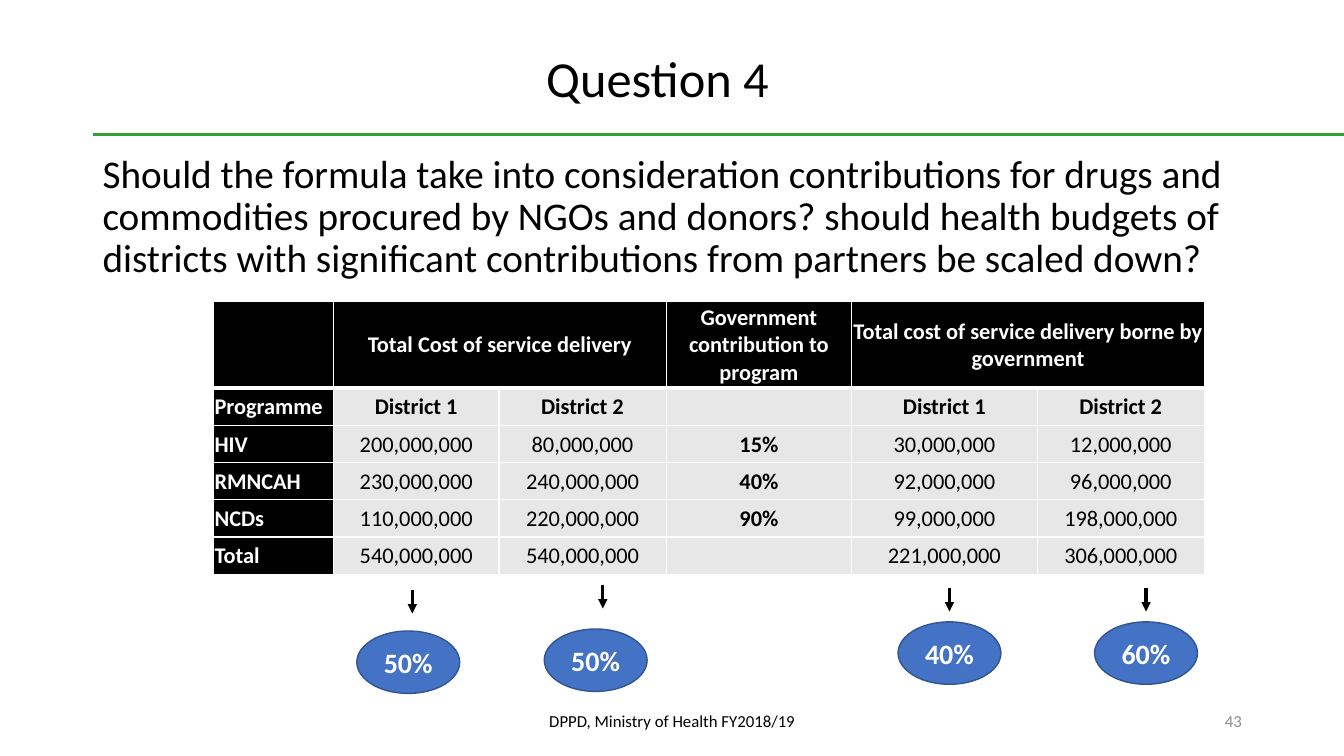
from lxml.etree import SubElement
from pptx import Presentation
from pptx.dml.color import RGBColor
from pptx.enum.shapes import MSO_CONNECTOR, MSO_SHAPE
from pptx.enum.text import MSO_ANCHOR, PP_ALIGN
from pptx.oxml import parse_xml
from pptx.oxml.ns import nsdecls, qn
from pptx.util import Pt

BLACK = RGBColor(0x00, 0x00, 0x00)
WHITE = RGBColor(0xFF, 0xFF, 0xFF)
PALE = RGBColor(0xE7, 0xE7, 0xE7)
GRAY = RGBColor(0x8C, 0x8C, 0x8C)
GREEN = RGBColor(0x33, 0x9E, 0x35)
BLUE = RGBColor(0x44, 0x72, 0xC4)
NAVY = RGBColor(0x32, 0x54, 0x91)

COLS = (85.7, 118.1, 119.5, 132.5, 132.5, 119.5)
ROWS = (61.9,) + (26.6,) * 5
DATA = (
    ("", "Total Cost of service delivery", "", "Government contribution to program",
     "Total cost of service delivery borne by government", ""),
    ("Programme", "District 1", "District 2", "", "District 1", "District 2"),
    ("HIV", "200,000,000", "80,000,000", "15%", "30,000,000", "12,000,000"),
    ("RMNCAH", "230,000,000", "240,000,000", "40%", "92,000,000", "96,000,000"),
    ("NCDs", "110,000,000", "220,000,000", "90%", "99,000,000", "198,000,000"),
    ("Total", "540,000,000", "540,000,000", "", "221,000,000", "306,000,000"),
)
# Share, oval centre and top, arrow centre and top
SHARES = (
    ("50%", 291.6, 450.7, 294.5, 421.2),
    ("50%", 425.5, 449.3, 430.6, 417.6),
    ("40%", 678.2, 444.2, 678.2, 419.8),
    ("60%", 818.6, 444.2, 818.6, 419.8),
)


def style(para, size, color, align=PP_ALIGN.LEFT, bold=False):
    para.alignment = align
    font = para.font
    font.name, font.size, font.bold = "Calibri", Pt(size), bold
    font.color.rgb = color


def add_text(slide, box, text, size, color=BLACK, align=PP_ALIGN.LEFT,
             anchor=MSO_ANCHOR.MIDDLE, space=1.0):
    frame = slide.shapes.add_textbox(*map(Pt, box)).text_frame
    frame.word_wrap = True
    frame.vertical_anchor = anchor
    para = frame.paragraphs[0]
    para.text = text
    para.line_spacing = space
    style(para, size, color, align)


def add_line(slide, ends, color):
    line = slide.shapes.add_connector(MSO_CONNECTOR.STRAIGHT, *map(Pt, ends))
    line.line.color.rgb = color
    line.line.width = Pt(2.25)
    SubElement(line._element.spPr, qn("a:effectLst"))
    return line


def add_head(slide, box):
    left, top, width, height = box
    add_text(slide, (left, top, width - 21, height - 14.7), "Question 4", 36,
             align=PP_ALIGN.CENTER, anchor=MSO_ANCHOR.BOTTOM, space=0.9)
    add_line(slide, (left, top + height, 960, top + height), GREEN)


def add_edges(cell, row):
    widths = {"L": 1, "R": 1, "T": 3 if row == 1 else 1, "B": 3 if row == 0 else 1}
    props = cell._tc.get_or_add_tcPr()
    for spot, (side, width) in enumerate(widths.items()):
        props.insert(spot, parse_xml(
            f'<a:ln{side} {nsdecls("a")} w="{Pt(width)}"><a:solidFill>'
            f'<a:srgbClr val="{WHITE}"/></a:solidFill></a:ln{side}>'))


def add_costs(slide, left, top):
    box = map(Pt, (left, top, sum(COLS), sum(ROWS)))
    table = slide.shapes.add_table(len(ROWS), len(COLS), *box).table
    for col, width in zip(table.columns, COLS):
        col.width = Pt(width)
    for row, height in zip(table.rows, ROWS):
        row.height = Pt(height)
    for r, line in enumerate(DATA):
        for c, text in enumerate(line):
            cell = table.cell(r, c)
            dark = r == 0 or c == 0
            cell.fill.solid()
            cell.fill.fore_color.rgb = BLACK if dark else PALE
            cell.vertical_anchor = MSO_ANCHOR.MIDDLE
            cell.margin_left = cell.margin_right = cell.margin_top = Pt(0.7)
            cell.margin_bottom = 0
            add_edges(cell, r)
            para = cell.text_frame.paragraphs[0]
            para.text = text
            style(para, 16, WHITE if dark else BLACK,
                  PP_ALIGN.CENTER if c else PP_ALIGN.LEFT, r < 2 or c in (0, 3))
    # Paired district headings
    for c in (1, 4):
        table.cell(0, c).merge(table.cell(0, c + 1))


def add_share(slide, label, mid, top, x, y):
    # Oval
    oval = slide.shapes.add_shape(MSO_SHAPE.OVAL, Pt(mid - 36.75), Pt(top), Pt(73.5), Pt(44.6))
    oval.shadow.inherit = False
    oval.fill.solid()
    oval.fill.fore_color.rgb = BLUE
    oval.line.color.rgb = NAVY
    oval.line.width = Pt(1)
    frame = oval.text_frame
    frame.vertical_anchor = MSO_ANCHOR.MIDDLE
    para = frame.paragraphs[0]
    para.text = label
    style(para, 20, WHITE, PP_ALIGN.CENTER, True)
    # Arrow
    arrow = add_line(slide, (x, y, x, y + 17), BLACK)
    SubElement(arrow.line._get_or_add_ln(), qn("a:tailEnd"), type="triangle")


def add_foot(slide, top):
    add_text(slide, (318.2, top, 324, 28.8), "DPPD, Ministry of Health FY2018/19", 12,
             align=PP_ALIGN.CENTER)
    add_text(slide, (678.2, top, 216, 28.8), "43", 12, GRAY, PP_ALIGN.RIGHT)


def main():
    deck = Presentation()
    deck.slide_width, deck.slide_height = Pt(960), Pt(540)
    slide = deck.slides.add_slide(deck.slide_layouts[6])
    add_head(slide, (66.2, 0, 828, 96))
    add_text(slide, (66.2, 106.6, 828, 342.7),
             "Should the formula take into consideration contributions for drugs and "
             "commodities procured by NGOs and donors? should health budgets of districts "
             "with significant contributions from partners be scaled down?",
             28, anchor=MSO_ANCHOR.TOP, space=0.9)
    add_costs(slide, 152.6, 215.3)
    for share in SHARES:
        add_share(slide, *share)
    add_foot(slide, 500.4)
    deck.save("out.pptx")


if __name__ == "__main__":
    main()
